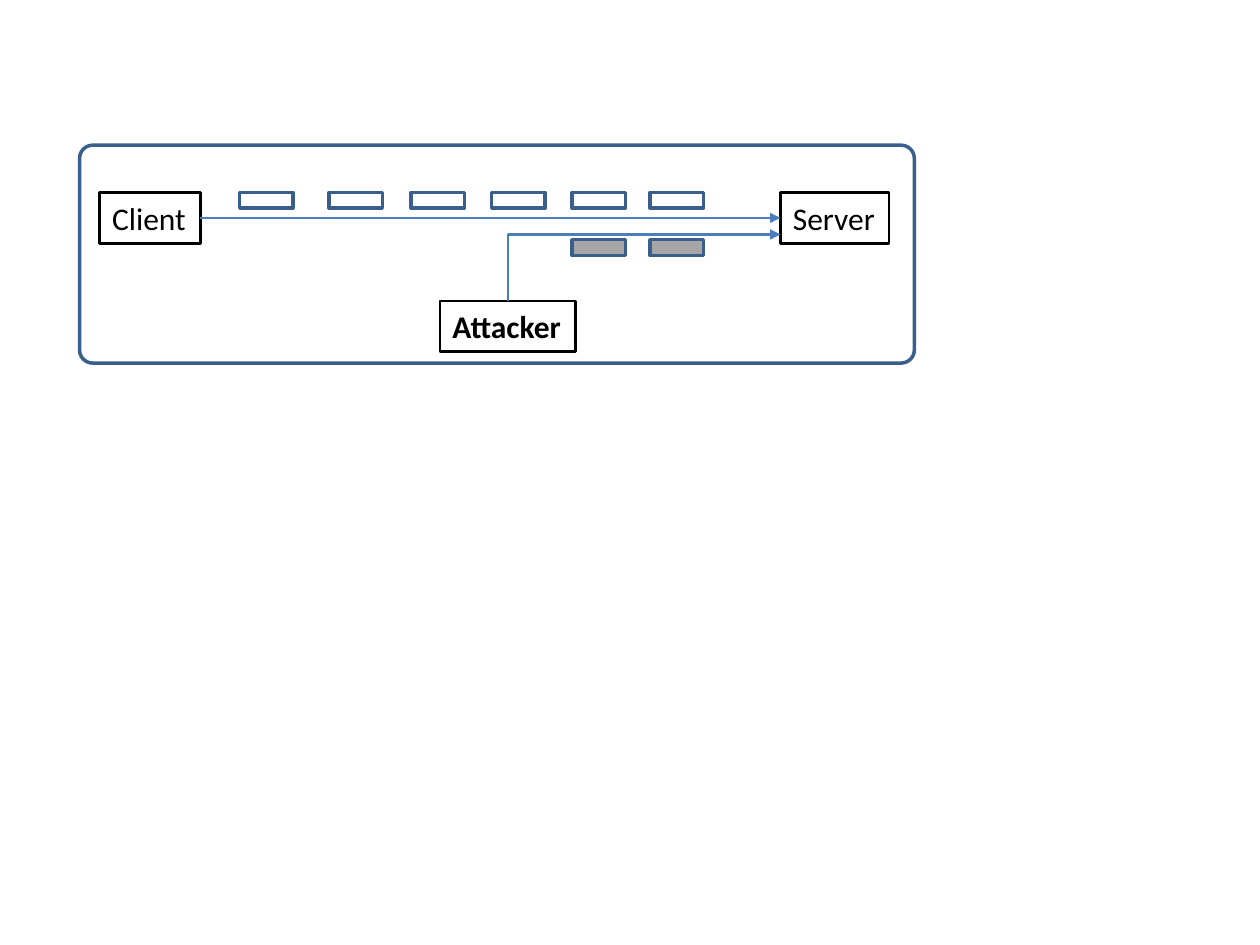
import pptx
import pptx.util
import pptx.dml.color
import pptx.enum.shapes
import pptx.enum.text
import pptx.oxml.ns
import lxml.etree

Pt = pptx.util.Pt
KIND = pptx.enum.shapes.MSO_SHAPE
WIRE = pptx.enum.shapes.MSO_CONNECTOR

# Content: lengths in points
HUES = {"ink": "000000", "edge": "3A5F8C", "wire": "4B7EBC", "bad": "A6A6A6"}
NODES = [  # text, left, top, width, bold
    ("Client", 57, 110, 57.5, False),
    ("Server", 446, 110, 62, False),
    ("Attacker", 251.5, 172, 77.5, True),
]
NODE_H = 29
FLOWS = [  # top, fill, lefts of the packets
    (110, None, (137, 188, 235, 281, 327, 371.5)),
    (137, "bad", (327, 371.5)),
]
PACK_W, PACK_H = 30.5, 9
FRAME = (45.5, 83, 477, 124.5)
BEND_Y = 134


def hue(name):
    return pptx.dml.color.RGBColor.from_string(HUES[name])


def outline(shape, name, width):
    shape.line.color.rgb = hue(name)
    shape.line.width = Pt(width)


def add_box(slide, kind, box, fill=None):
    shape = slide.shapes.add_shape(kind, *map(Pt, box))
    shape.shadow.inherit = False
    if fill:
        shape.fill.solid()
        shape.fill.fore_color.rgb = hue(fill)
    else:
        shape.fill.background()
    outline(shape, "edge", 2)
    return shape


def add_node(slide, text, left, top, width, bold):
    node = slide.shapes.add_textbox(Pt(left), Pt(top), Pt(width), Pt(NODE_H))
    outline(node, "ink", 1.5)
    frame = node.text_frame
    frame.word_wrap = False
    frame.auto_size = pptx.enum.text.MSO_AUTO_SIZE.SHAPE_TO_FIT_TEXT
    run = frame.paragraphs[0].add_run()
    run.text = text
    run.font.name = "Calibri"
    run.font.size = Pt(18)
    run.font.bold = bold
    run.font.color.rgb = hue("ink")
    return node


def add_wire(slide, kind, ends):
    wire = slide.shapes.add_connector(kind, *map(Pt, ends))
    outline(wire, "wire", 1.5)
    tag = pptx.oxml.ns.qn
    line = wire.line._get_or_add_ln()
    lxml.etree.SubElement(line, tag("a:tailEnd"), type="triangle")
    lxml.etree.SubElement(wire._element.spPr, tag("a:effectLst"))
    return wire


def add_bend(slide, start, end):
    """Go up from start, then right to end."""
    (x1, y1), (x2, y2) = start, end
    mid_x, mid_y = (x1 + x2) / 2, (y1 + y2) / 2
    half_w, half_h = (y1 - y2) / 2, (x2 - x1) / 2
    # The box is turned a quarter, so its width and height trade places
    wire = add_wire(slide, WIRE.ELBOW, (mid_x + half_w, mid_y + half_h,
                                        mid_x - half_w, mid_y - half_h))
    props = wire._element.spPr
    props.find(pptx.oxml.ns.qn("a:xfrm")).set("rot", str(90 * 60000))
    props.find(pptx.oxml.ns.qn("a:prstGeom")).set("prst", "bentConnector2")


def main():
    deck = pptx.Presentation()
    deck.slide_width, deck.slide_height = Pt(720), Pt(540)
    slide = deck.slides.add_slide(deck.slide_layouts[6])

    # Hosts
    client, server, _ = [add_node(slide, *node) for node in NODES]

    # Links to the server
    mid = NODES[0][2] + NODE_H / 2
    link = add_wire(slide, WIRE.STRAIGHT, (114.5, mid, 446, mid))
    link.begin_connect(client, 3)
    link.end_connect(server, 1)
    _, left, top, width, _ = NODES[2]
    add_bend(slide, (left + width / 2, top), (NODES[1][1], BEND_Y))

    # Packets
    for top, fill, lefts in FLOWS:
        for left in lefts:
            add_box(slide, KIND.RECTANGLE, (left, top, PACK_W, PACK_H), fill)

    # Frame
    frame = add_box(slide, KIND.ROUNDED_RECTANGLE, FRAME)
    frame.adjustments[0] = 0.06

    deck.save("out.pptx")


if __name__ == "__main__":
    main()
